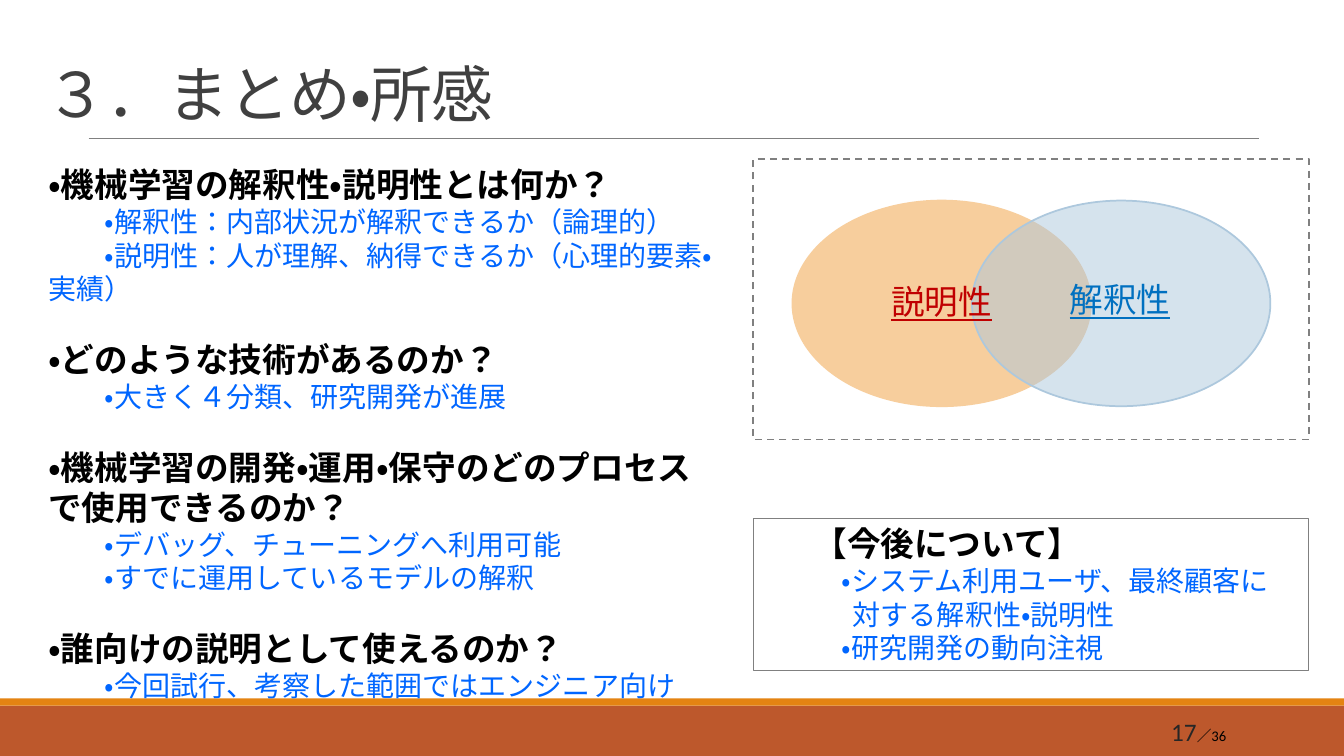
"""Build the summary slide on interpretability and explainability."""
from lxml import etree
from pptx import Presentation
from pptx import util as u
from pptx.dml.color import RGBColor
from pptx.enum import dml, lang, shapes, text
from pptx.oxml import ns

RUST = RGBColor(0xBD, 0x58, 0x2C)
ORANGE = RGBColor(0xE4, 0x83, 0x12)
PEACH = RGBColor(0xF7, 0xCE, 0x9D)
PALE_BLUE = RGBColor(0xAD, 0xC8, 0xDD)
GRAY = RGBColor(0x80, 0x80, 0x80)
TITLE_GRAY = RGBColor(0x40, 0x40, 0x40)
NUMBER_GRAY = RGBColor(0x26, 0x26, 0x26)
BLACK = RGBColor(0, 0, 0)
BLUE = RGBColor(0x00, 0x66, 0xFF)
RED = RGBColor(0xC0, 0, 0)
LABEL_BLUE = RGBColor(0x00, 0x70, 0xC0)

TOPICS = [
    ("・機械学習の解釈性・説明性とは何か？",
     ["・解釈性：内部状況が解釈できるか（論理的）",
      "・説明性：人が理解、納得できるか（心理的要素・実績）"]),
    ("・どのような技術があるのか？",
     ["・大きく４分類、研究開発が進展"]),
    ("・機械学習の開発・運用・保守のどのプロセスで使用できるのか？",
     ["・デバッグ、チューニングへ利用可能",
      "・すでに運用しているモデルの解釈"]),
    ("・誰向けの説明として使えるのか？",
     ["・今回試行、考察した範囲ではエンジニア向け"]),
]
OUTLOOK = [
    ("・システム利用ユーザ、最終顧客に", 0.28),
    ("対する解釈性・説明性", 0.39),
    ("・研究開発の動向注視", 0.28),
]


class SlideBuilder:
    def __init__(self, slide, font="Calibri"):
        self.s = slide
        self.font = font

    def shape(self, kind, box, fill=None, line=None, width=0.75, dash=False, alpha=None):
        sp = self.s.shapes.add_shape(kind, *map(u.Inches, box))
        sp.shadow.inherit = False
        if fill is None:
            sp.fill.background()
        else:
            sp.fill.solid()
            sp.fill.fore_color.rgb = fill
        if alpha is not None:
            color = sp.fill._xPr.find(".//" + ns.qn("a:srgbClr"))
            etree.SubElement(color, ns.qn("a:alpha")).set("val", str(alpha * 1000))
        if line is None:
            sp.line.fill.background()
        else:
            sp.line.color.rgb = line
            sp.line.width = u.Pt(width)
        if dash:
            sp.line.dash_style = dml.MSO_LINE.DASH
        return sp

    def rule(self, x1, x2, y, color, width):
        c = self.s.shapes.add_connector(
            shapes.MSO_CONNECTOR.STRAIGHT, *map(u.Inches, (x1, y, x2, y)))
        c.line.color.rgb = color
        c.line.width = u.Pt(width)
        etree.SubElement(c._element.spPr, ns.qn("a:effectLst"))

    def text_box(self, box, anchor=text.MSO_ANCHOR.TOP, wrap=True):
        tf = self.s.shapes.add_textbox(*map(u.Inches, box)).text_frame
        tf.word_wrap = wrap
        tf.vertical_anchor = anchor
        return tf

    def run(self, p, words, size, color, bold=False, underline=False):
        r = p.add_run()
        r.text = words
        r.font.name = self.font
        r.font.size = u.Pt(size)
        r.font.color.rgb = color
        r.font.bold = bold
        r.font.underline = underline
        r.font.language_id = lang.MSO_LANGUAGE_ID.JAPANESE
        return r

    def paragraph(self, tf, words, size, color, bold=False, indent=0, before=0):
        p = tf.paragraphs[0] if not tf.paragraphs[0].runs else tf.add_paragraph()
        p.alignment = text.PP_ALIGN.LEFT
        p.space_before = u.Pt(before)
        pPr = p._p.get_or_add_pPr()
        pPr.set("marL", str(u.Inches(0.5)))
        pPr.set("indent", str(u.Inches(indent)))
        self.run(p, words, size, color, bold)

    def label(self, box, words, color):
        tf = self.text_box(box, wrap=False)
        self.run(tf.paragraphs[0], words, 24, color, underline=True)


def main():
    prs = Presentation()
    prs.slide_width, prs.slide_height = u.Inches(13.33), u.Inches(7.5)
    b = SlideBuilder(prs.slides.add_slide(prs.slide_layouts[6]))
    rect, oval = shapes.MSO_SHAPE.RECTANGLE, shapes.MSO_SHAPE.OVAL

    b.shape(rect, (0, 7, 13.33, 0.5), RUST)
    b.shape(rect, (0, 6.93, 13.33, 0.07), ORANGE)
    b.rule(0.88, 12.49, 1.37, GRAY, 0.5)

    tf = b.text_box((0.35, 0.57, 12.71, 0.77), text.MSO_ANCHOR.BOTTOM)
    tf.paragraphs[0].line_spacing = 1.5
    r = b.run(tf.paragraphs[0], "３．まとめ・所感", 44, TITLE_GRAY)
    r.font._element.set("spc", "-50")

    tf = b.text_box((-0.12, 1.58, 7.4, 5.15))
    for i, (question, answers) in enumerate(TOPICS):
        b.paragraph(tf, question, 24, BLACK, bold=True, before=24 if i else 0)
        for answer in answers:
            b.paragraph(tf, answer, 20, BLUE, indent=0.56)

    tf = b.text_box((10.83, 7.06, 1.43, 0.4), text.MSO_ANCHOR.MIDDLE)
    p = tf.paragraphs[0]
    p.alignment = text.PP_ALIGN.RIGHT
    b.run(p, "17", 18, NUMBER_GRAY)
    b.run(p, "／36", 10.5, BLACK)

    b.shape(oval, (7.86, 1.99, 2.96, 2.04), PEACH, PEACH, 1.25)
    b.shape(oval, (9.64, 1.99, 2.96, 2.04), PALE_BLUE, PALE_BLUE, 1.25, alpha=50)
    b.label((8.74, 2.74, 1.21, 0.5), "説明性", RED)
    b.label((10.51, 2.72, 1.21, 0.5), "解釈性", LABEL_BLUE)

    tf = b.shape(rect, (7.47, 5.14, 5.51, 1.51), line=GRAY).text_frame
    tf.word_wrap = True
    tf.vertical_anchor = text.MSO_ANCHOR.TOP
    b.paragraph(tf, "【今後について】", 24, BLACK, bold=True)
    for words, indent in OUTLOOK:
        b.paragraph(tf, words, 20, BLUE, indent=indent)
    b.shape(rect, (7.47, 1.58, 5.51, 2.78), line=GRAY, width=1.25, dash=True)

    prs.save("out.pptx")


if __name__ == "__main__":
    main()
